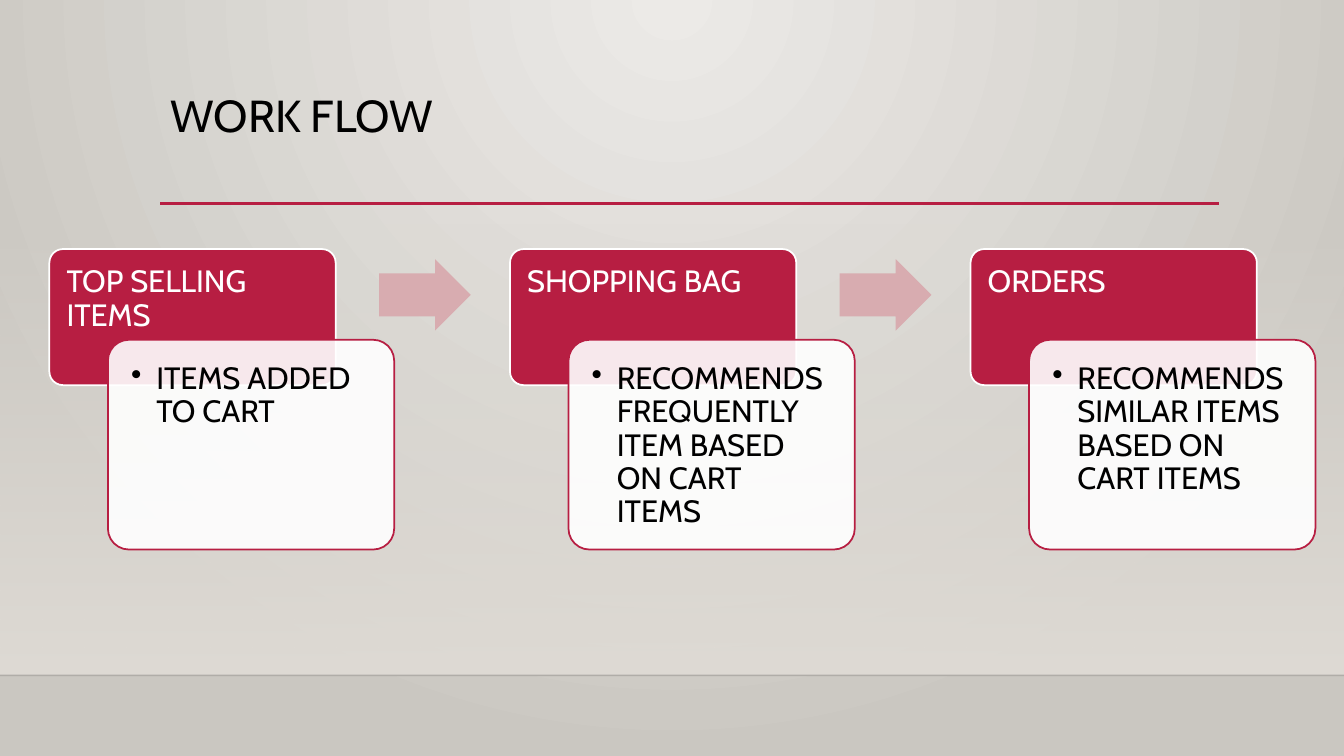
from lxml import etree
from pptx import Presentation
from pptx.dml.color import RGBColor
from pptx.enum.shapes import MSO_CONNECTOR, MSO_SHAPE
from pptx.enum.text import MSO_ANCHOR, PP_ALIGN
from pptx.oxml.ns import qn
from pptx.util import Pt

ROUND = MSO_SHAPE.ROUNDED_RECTANGLE
ARROW = MSO_SHAPE.RIGHT_ARROW
RECT = MSO_SHAPE.RECTANGLE
LINE = MSO_CONNECTOR.STRAIGHT
TOP, LEFT = MSO_ANCHOR.TOP, PP_ALIGN.LEFT

RED = RGBColor(0xB7, 0x1E, 0x42)
PINK = RGBColor(0xD8, 0xAC, 0xB0)
WHITE = RGBColor(0xFF, 0xFF, 0xFF)
BLACK = RGBColor(0, 0, 0)
SAND = RGBColor(0xDF, 0xDB, 0xD5)
LIGHT = RGBColor(0xEC, 0xEA, 0xE7)
DARK = RGBColor(0xCA, 0xC7, 0xC1)

FONT = "Cabin"
WIDE, HIGH = 960, 540
STEPS = [
    ("TOP SELLING ITEMS", "ITEMS ADDED TO CART"),
    ("SHOPPING BAG", "RECOMMENDS FREQUENTLY ITEM BASED ON CART ITEMS"),
    ("ORDERS", "RECOMMENDS SIMILAR ITEMS BASED ON CART ITEMS"),
]


def set_alpha(part, share):
    """Set the opacity, in percent, of the first colour inside an XML part."""
    color = next(part.iter(qn("a:srgbClr")))
    etree.SubElement(color, qn("a:alpha")).set("val", str(share * 1000))


def set_stops(fill, first, last):
    fill.gradient()
    for stop, color in zip(fill.gradient_stops, (first, last)):
        stop.color.rgb = color


def add_block(slide, kind, box, fill, line=None):
    block = slide.shapes.add_shape(kind, *map(Pt, box))
    block.shadow.inherit = False
    block.fill.solid()
    block.fill.fore_color.rgb = fill
    if line is None:
        block.line.fill.background()
    else:
        block.line.color.rgb = line
        block.line.width = Pt(1.25)
    return block


def add_rule(slide, x, y, width, color, weight):
    rule = slide.shapes.add_connector(LINE, Pt(x), Pt(y), Pt(x + width), Pt(y))
    rule.line.color.rgb = color
    rule.line.width = Pt(weight)
    etree.SubElement(rule.element.spPr, qn("a:effectLst"))
    return rule


def write(shape, text, size, color, insets):
    """Fill a shape with one top-left paragraph and return that paragraph."""
    frame = shape.text_frame
    frame.text = text
    frame.word_wrap = True
    frame.vertical_anchor = TOP
    (frame.margin_left, frame.margin_top,
     frame.margin_right, frame.margin_bottom) = map(Pt, insets)
    para = frame.paragraphs[0]
    para.alignment = LEFT
    para.line_spacing = 0.9
    font = para.runs[0].font
    font.name, font.size, font.color.rgb = FONT, Pt(size), color
    return para


def add_bullet(para, indent):
    para.level = 1
    props = para._p.get_or_add_pPr()
    props.set("marL", str(Pt(indent)))
    props.set("indent", str(-Pt(indent)))
    etree.SubElement(props, qn("a:buChar")).set("char", "•")


def draw_back(slide, floor):
    """Paint the round glow, the fading wall and the floor edge."""
    set_stops(slide.background.fill, LIGHT, DARK)
    glow = next(slide.element.iter(qn("a:gradFill")))
    for old in glow.findall(qn("a:lin")):
        glow.remove(old)
    ring = etree.SubElement(glow, qn("a:path"))
    ring.set("path", "circle")
    focus = etree.SubElement(ring, qn("a:fillToRect"))
    for side, share in zip("ltrb", (43, 0, 43, 100)):
        focus.set(side, str(share * 1000))

    top = 159
    wall = add_block(slide, RECT, (0, top, WIDE, floor - top), SAND)
    set_stops(wall.fill, SAND, SAND)
    wall.fill.gradient_angle = 270
    set_alpha(wall.element.spPr, 0)
    edge = add_rule(slide, 0, floor, WIDE, BLACK, 1)
    set_alpha(edge.element.spPr, 20)


def draw_title(slide, x, y, width, height):
    title = slide.shapes.title
    title.left, title.top = Pt(x), Pt(y)
    title.width, title.height = Pt(width), Pt(height)
    write(title, "WORK FLOW", 32, BLACK, (7.2, 3.6, 7.2, 3.6))
    add_rule(slide, x, y + height - 0.5, width, RED, 2.5)


def draw_step(slide, x, y, width, head, body):
    tab = add_block(slide, ROUND, (x, y, width, 97.2), RED, WHITE)
    tab.adjustments[0] = 0.1
    write(tab, head, 22, WHITE, (9.4, 9.4, 9.4, 6.5))

    card = add_block(slide, ROUND, (x + 41.8, y + 64.8, width, 149.8), WHITE, RED)
    card.adjustments[0] = 0.1
    set_alpha(card.element.spPr, 90)
    add_bullet(write(card, body, 22, BLACK, (12.2,) * 4), 18)


def draw_flow(slide, x, y, width, pitch):
    for i, (head, body) in enumerate(STEPS):
        left = x + i * pitch
        draw_step(slide, left, y, width, head, body)
        if i < len(STEPS) - 1:
            arrow = add_block(slide, ARROW, (left + width + 31, y + 7.2, 65.5, 51.1), PINK)
            arrow.adjustments[0] = 0.6


def main():
    deck = Presentation()
    deck.slide_width, deck.slide_height = Pt(WIDE), Pt(HIGH)
    slide = deck.slides.add_slide(deck.slide_layouts[5])
    draw_back(slide, 482.4)
    draw_title(slide, 114.5, 63.4, 756.5, 82.6)
    draw_flow(slide, 35.3, 177.9, 204.5, 329)
    deck.save("out.pptx")


if __name__ == "__main__":
    main()
